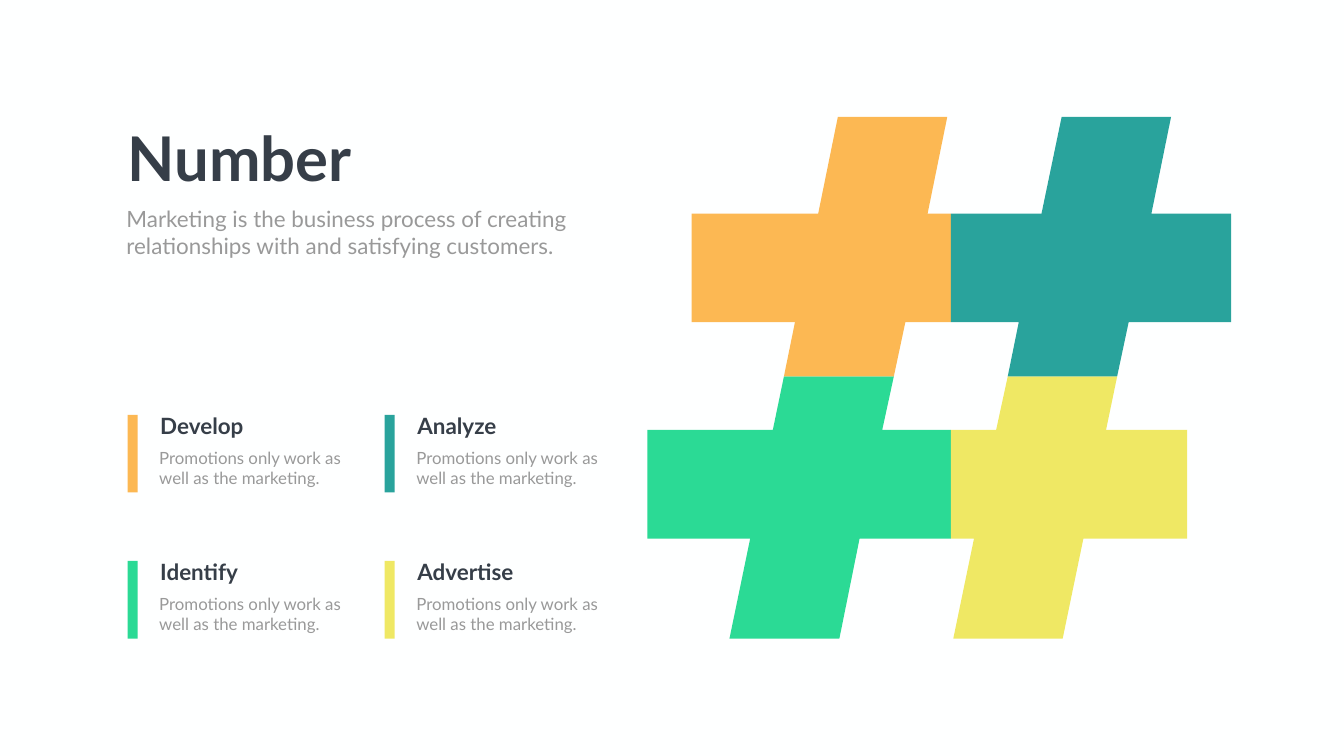
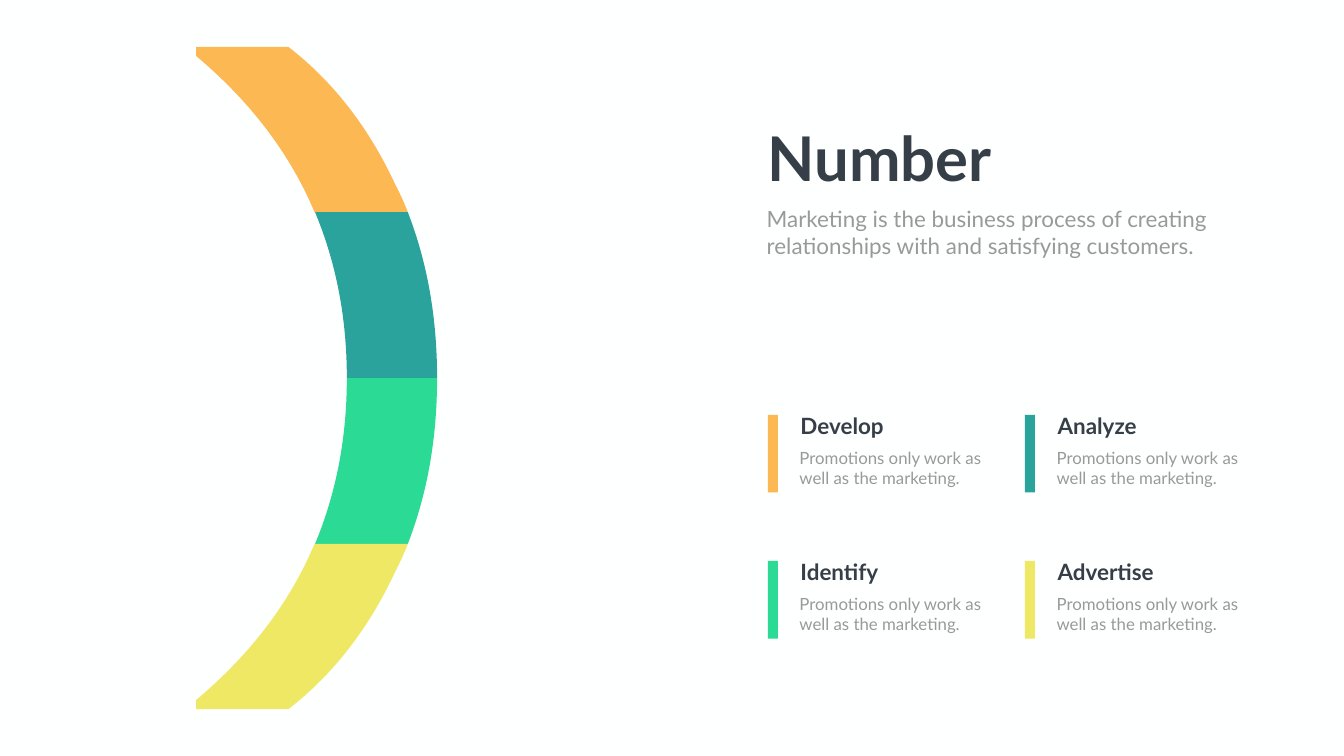
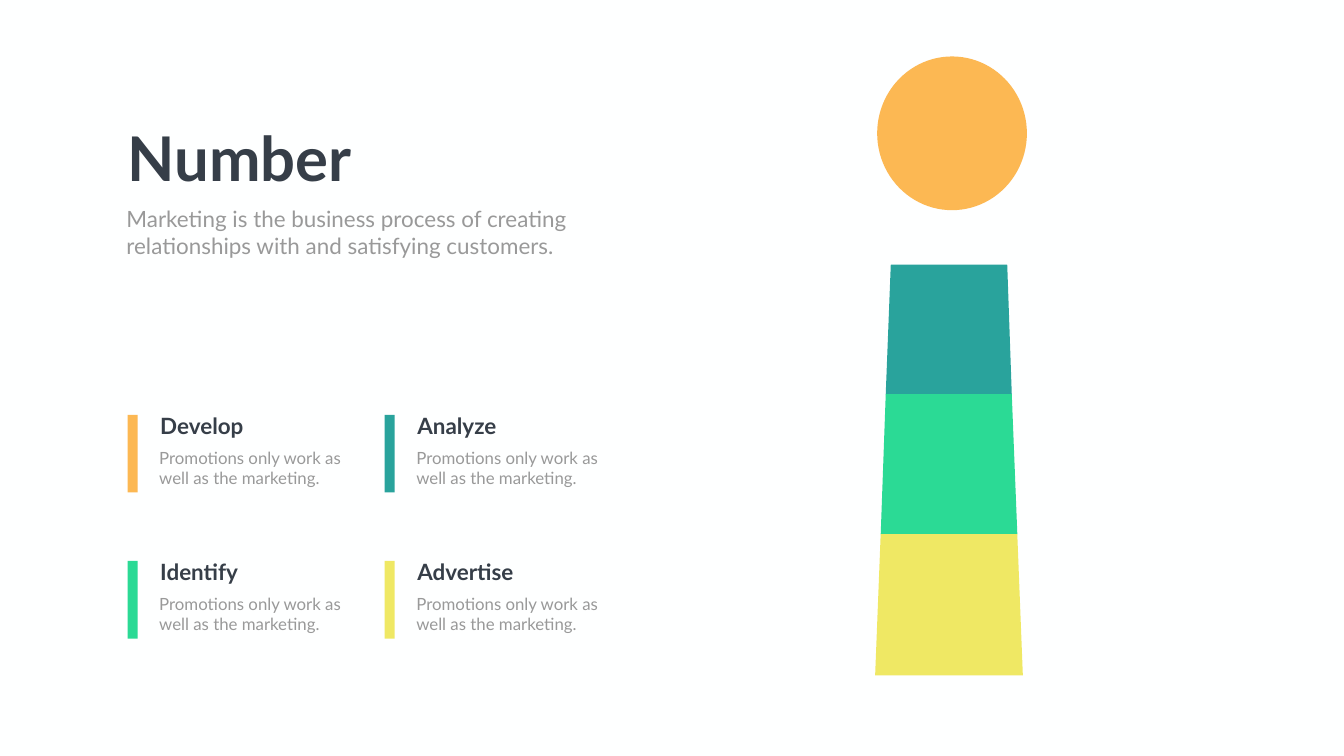
from dataclasses import dataclass
from typing import NamedTuple

from pptx import Presentation
from pptx.dml.color import RGBColor
from pptx.enum.shapes import MSO_SHAPE
from pptx.enum.text import MSO_ANCHOR, MSO_AUTO_SIZE as AutoSize, PP_ALIGN
from pptx.oxml.ns import qn
from pptx.oxml.xmlchemy import OxmlElement
from pptx.shapes.autoshape import Shape
from pptx.slide import Slide
from pptx.util import Inches, Pt

SLIDE_WIDTH, SLIDE_HEIGHT = 26.66, 15
BACKGROUND = RGBColor(0xFE, 0xFF, 0xFF)
DARK = RGBColor(0x36, 0x3E, 0x48)
GRAY = RGBColor(0x99, 0x99, 0x99)
ORANGE = RGBColor(0xFC, 0xB8, 0x53)
TEAL = RGBColor(0x29, 0xA3, 0x9C)
GREEN = RGBColor(0x2B, 0xDA, 0x95)
YELLOW = RGBColor(0xEF, 0xE8, 0x64)
FONT = "Lato"

HEADING = "Number"
INTRO = ("Marketing is the business process of creating\n"
         "relationships with and satisfying customers.")
DETAIL = "Promotions only work as well as the marketing."
LEFT_COLUMN, RIGHT_COLUMN = 2.43, 15.13
STEP_PITCH_X, STEP_PITCH_Y = 5.1, 2.9

Point = tuple[float, float]


class Curve(NamedTuple):
    """A cubic curve from the point before it."""
    control1: Point
    control2: Point
    end: Point


class Box(NamedTuple):
    left: float
    top: float
    width: float
    height: float


class TextStyle(NamedTuple):
    size: int
    color: RGBColor
    bold: bool = False


@dataclass(frozen=True)
class Step:
    label: str
    color: RGBColor


Outline = list[Point | Curve]

TITLE_STYLE = TextStyle(88, DARK, True)
INTRO_STYLE = TextStyle(32, GRAY)
LABEL_STYLE = TextStyle(32, DARK, True)
DETAIL_STYLE = TextStyle(24, GRAY)

STEPS = (Step("Develop", ORANGE), Step("Analyze", TEAL),
         Step("Identify", GREEN), Step("Advertise", YELLOW))

HASH_QUARTERS = {
    GREEN: [(18.86, 10.69), (18.86, 8.53), (17.5, 8.53), (17.73, 7.47),
            (15.55, 7.47), (15.33, 8.53), (12.84, 8.53), (12.84, 10.69),
            (14.88, 10.69), (14.47, 12.67), (16.65, 12.67), (17.05, 10.69)],
    ORANGE: [(18.79, 2.32), (16.62, 2.32), (16.23, 4.24), (13.72, 4.24),
             (13.72, 6.39), (15.77, 6.39), (15.55, 7.47), (17.73, 7.47),
             (17.96, 6.39), (18.86, 6.39), (18.86, 4.24), (18.4, 4.24)],
    YELLOW: [(23.55, 10.69), (23.55, 8.53), (21.94, 8.53), (22.16, 7.47),
             (19.99, 7.47), (19.76, 8.53), (18.86, 8.53), (18.86, 10.69),
             (19.32, 10.69), (18.91, 12.67), (21.08, 12.67), (21.49, 10.69)],
    TEAL: [(20.21, 6.39), (19.99, 7.47), (22.16, 7.47), (22.39, 6.39),
           (24.42, 6.39), (24.42, 4.24), (22.84, 4.24), (23.23, 2.32),
           (21.06, 2.32), (20.66, 4.24), (18.86, 4.24), (18.86, 6.39)],
}

PARENTHESIS_TIP = [
    (3.89, 0.93), (5.72, 0.93),
    Curve((6.6, 1.61), (7.32, 2.53), (7.85, 3.68)),
    Curve((7.94, 3.85), (8.02, 4.03), (8.09, 4.21)),
    (6.24, 4.21),
    Curve((5.75, 3.04), (4.96, 2.01), (3.89, 1.11)),
]
PARENTHESIS_BELLY = [
    (8.09, 4.21),
    Curve((8.48, 5.22), (8.67, 6.31), (8.67, 7.5)),
    (6.88, 7.5),
    Curve((6.88, 6.31), (6.67, 5.22), (6.25, 4.21)),
]

LETTER_DOT = Box(17.4, 1.12, 2.97, 3.05)
# Each level of the stem: y, left edge, right edge
STEM_LEVELS = [(5.25, 17.67, 19.98), (7.82, 17.57, 20.07),
               (10.6, 17.47, 20.18), (13.4, 17.36, 20.29)]


def points_of(part: Point | Curve) -> list[Point]:
    return list(part) if isinstance(part, Curve) else [part]


def mirrored(outline: Outline) -> Outline:
    """The outline flipped about the middle of the slide's height."""
    flipped = []
    for part in outline:
        points = [(x, SLIDE_HEIGHT - y) for x, y in points_of(part)]
        flipped.append(Curve(*points) if isinstance(part, Curve) else points[0])
    return flipped


def stem_parts() -> dict[RGBColor, Outline]:
    return {
        color: [(left1, y1), (right1, y1), (right2, y2), (left2, y2)]
        for color, (y1, left1, right1), (y2, left2, right2)
        in zip((TEAL, GREEN, YELLOW), STEM_LEVELS, STEM_LEVELS[1:])
    }


def paint(shape: Shape, color: RGBColor) -> None:
    shape.shadow.inherit = False
    shape.fill.solid()
    shape.fill.fore_color.rgb = color
    shape.line.fill.background()


def add_preset(slide: Slide, preset: MSO_SHAPE, box: Box, color: RGBColor) -> None:
    paint(slide.shapes.add_shape(preset, *map(Inches, box)), color)


def bend(shape: Shape, outline: Outline) -> None:
    """Join the three lines drawn for each Curve into one cubic segment."""
    lines = iter(list(shape.element.iter(qn("a:lnTo"))))
    for part in outline[1:]:
        drawn = [next(lines) for _ in points_of(part)]
        if isinstance(part, Curve):
            cubic = OxmlElement("a:cubicBezTo")
            drawn[0].addprevious(cubic)
            for line in drawn:
                cubic.append(line[0])
                line.getparent().remove(line)


def add_outlines(slide: Slide, parts: dict[RGBColor, Outline]) -> None:
    for color, outline in parts.items():
        start, *others = [(Inches(x), Inches(y))
                          for part in outline for x, y in points_of(part)]
        builder = slide.shapes.build_freeform(*start)
        builder.add_line_segments(others, close=True)
        shape = builder.convert_to_shape()
        bend(shape, outline)
        paint(shape, color)


def write(shape: Shape, text: str, style: TextStyle) -> None:
    frame = shape.text_frame
    frame.text = text
    frame.word_wrap = True
    frame.auto_size = AutoSize.SHAPE_TO_FIT_TEXT
    frame.vertical_anchor = MSO_ANCHOR.TOP
    for paragraph in frame.paragraphs:
        paragraph.alignment = PP_ALIGN.LEFT
        font = paragraph.font
        font.name, font.size, font.bold = FONT, Pt(style.size), style.bold
        font.color.rgb = style.color


def add_text(slide: Slide, box: Box, text: str, style: TextStyle) -> None:
    write(slide.shapes.add_textbox(*map(Inches, box)), text, style)


def add_step(slide: Slide, step: Step, left: float, top: float) -> None:
    add_preset(slide, MSO_SHAPE.RECTANGLE, Box(left + 0.1, top + 0.1, 0.2, 1.54), step.color)
    add_text(slide, Box(left + 0.65, top, 2.61, 0.64), step.label, LABEL_STYLE)
    add_text(slide, Box(left + 0.63, top + 0.7, 4.01, 0.91), DETAIL, DETAIL_STYLE)


def add_number_slide(prs: Presentation, left: float) -> Slide:
    """A slide with heading, intro and the four steps, from the given left edge."""
    slide = prs.slides.add_slide(prs.slide_layouts.get_by_name("Title Only"))
    title = slide.shapes.title
    title.left, title.top, title.width, title.height = map(
        Inches, Box(left, 2.33, 10.73, 1.58))
    write(title, HEADING, TITLE_STYLE)
    add_text(slide, Box(left - 0.02, 4.03, 9.08, 1.18), INTRO, INTRO_STYLE)
    for index, step in enumerate(STEPS):
        row, column = divmod(index, 2)
        add_step(slide, step, left + column * STEP_PITCH_X, 8.13 + row * STEP_PITCH_Y)
    return slide


def main() -> None:
    prs = Presentation()
    prs.slide_width, prs.slide_height = Inches(SLIDE_WIDTH), Inches(SLIDE_HEIGHT)
    background = prs.slide_master.background.fill
    background.solid()
    background.fore_color.rgb = BACKGROUND

    add_outlines(add_number_slide(prs, LEFT_COLUMN), HASH_QUARTERS)
    add_outlines(add_number_slide(prs, RIGHT_COLUMN), {
        ORANGE: PARENTHESIS_TIP,
        TEAL: PARENTHESIS_BELLY,
        GREEN: mirrored(PARENTHESIS_BELLY),
        YELLOW: mirrored(PARENTHESIS_TIP),
    })
    letter_slide = add_number_slide(prs, LEFT_COLUMN)
    add_preset(letter_slide, MSO_SHAPE.OVAL, LETTER_DOT, ORANGE)
    add_outlines(letter_slide, stem_parts())

    prs.save("out.pptx")


if __name__ == "__main__":
    main()
